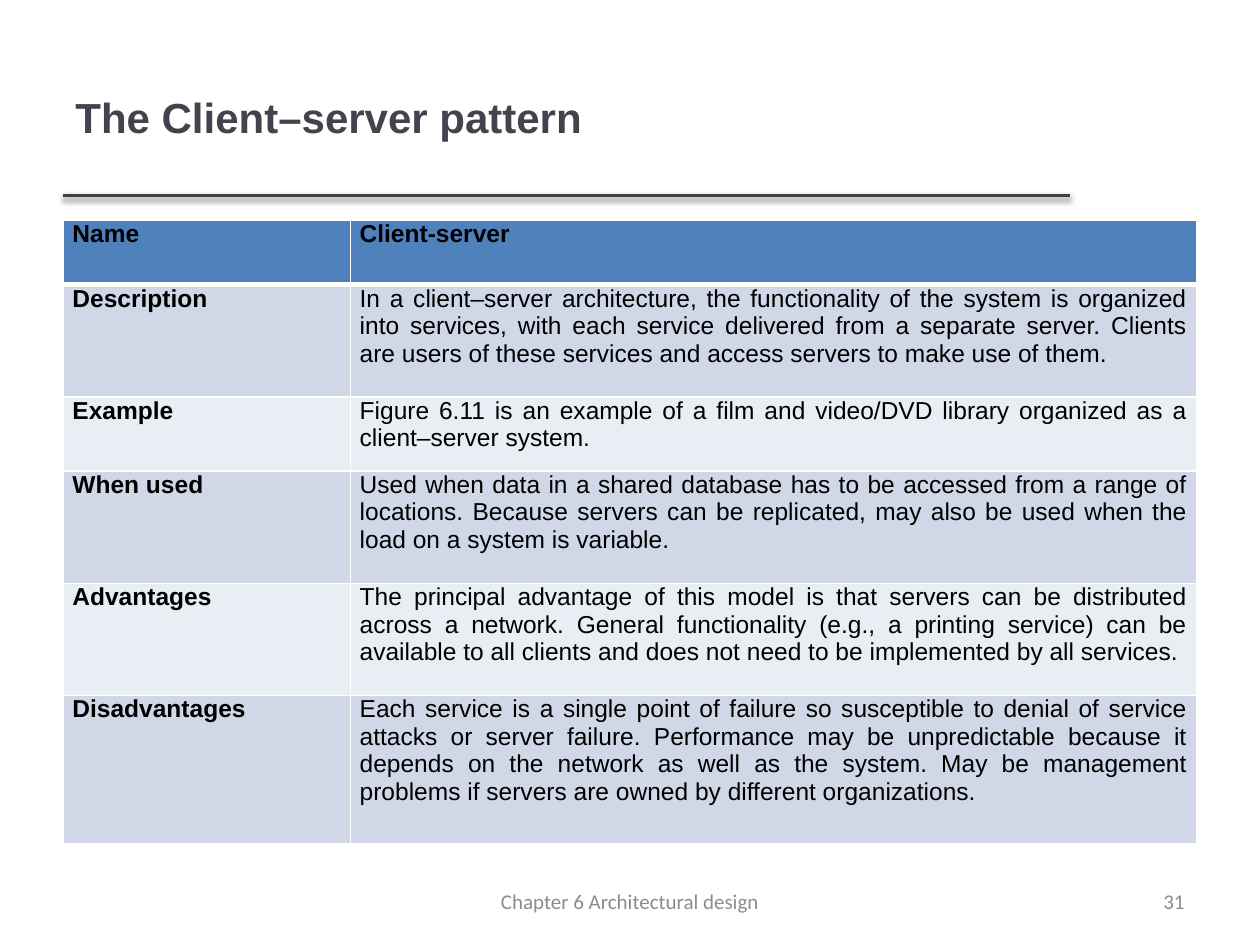
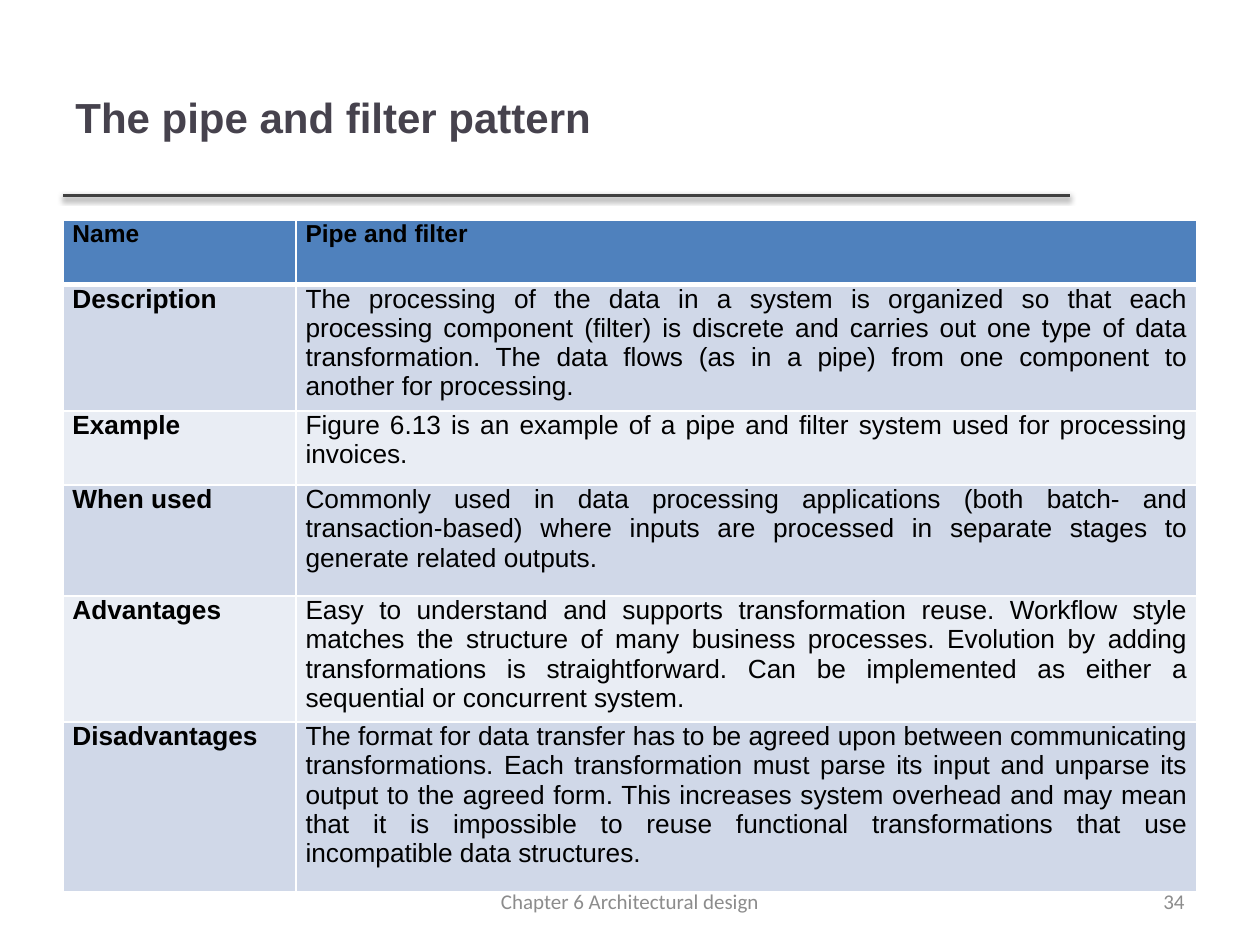
import pptx
import pptx.dml.color
import pptx.enum.shapes
import pptx.enum.text
import pptx.oxml
import pptx.oxml.ns
import pptx.util
from dataclasses import dataclass

ROW_NAMES = ["Name", "Description", "Example", "When used", "Advantages", "Disadvantages"]
FOOTER = "Chapter 6 Architectural design"

PATTERNS = [
    {
        "title": "The Client–server pattern",
        "number": "31",
        "body_size": 14,
        "columns": [2.28, 6.72],
        "rows": [0.51, 0.89, 0.59, 0.89, 0.89, 1.18],
        "entries": [
            "Client-server",
            "In a client–server architecture, the functionality of the system is organized into "
            "services, with each service delivered from a separate server. Clients are users of "
            "these services and access servers to make use of them.",
            "Figure 6.11 is an example of a film and video/DVD library organized as a "
            "client–server system.",
            "Used when data in a shared database has to be accessed from a range of locations. "
            "Because servers can be replicated, may also be used when the load on a system is "
            "variable.",
            "The principal advantage of this model is that servers can be distributed across a "
            "network. General functionality (e.g., a printing service) can be available to all "
            "clients and does not need to be implemented by all services.",
            "Each service is a single point of failure so susceptible to denial of service "
            "attacks or server failure. Performance may be unpredictable because it depends on "
            "the network as well as the system. May be management problems if servers are owned "
            "by different organizations.",
        ],
    },
    {
        "title": "The pipe and filter pattern",
        "number": "34",
        "body_size": 15,
        "columns": [1.85, 7.15],
        "rows": [0.51, 0.92, 0.59, 0.88, 0.92, 1.35],
        "entries": [
            "Pipe and filter",
            "The processing of the data in a system is organized so that each processing "
            "component (filter) is discrete and carries out one type of data transformation. "
            "The data flows (as in a pipe) from one component to another for processing.",
            "Figure 6.13 is an example of a pipe and filter system used for processing invoices.",
            "Commonly used in data processing applications (both batch- and transaction-based) "
            "where inputs are processed in separate stages to generate related outputs.",
            "Easy to understand and supports transformation reuse. Workflow style matches the "
            "structure of many business processes. Evolution by adding transformations is "
            "straightforward. Can be implemented as either a sequential or concurrent system.",
            "The format for data transfer has to be agreed upon between communicating "
            "transformations. Each transformation must parse its input and unparse its output "
            "to the agreed form. This increases system overhead and may mean that it is "
            "impossible to reuse functional transformations that use incompatible data "
            "structures.",
        ],
    },
]


@dataclass(frozen=True)
class Theme:
    title: str = "46424D"
    rule: str = "404040"
    text: str = "000000"
    footer: str = "8C8C8C"
    header_fill: str = "4F81BD"
    band_fills: tuple = ("D0D8E8", "E9EDF4")
    border: str = "FFFFFF"
    heading_font: str = "Arial"
    footer_font: str = "Calibri"
    title_size: int = 24
    header_size: int = 14
    footer_size: int = 12
    border_width: int = 1
    header_border_width: int = 3


THEME = Theme()
ALIGN = pptx.enum.text.PP_ALIGN
INCH = pptx.util.Inches
WIDTH, HEIGHT = 10, 7.5
MARGIN = WIDTH / 20
CONTENT_WIDTH = WIDTH - 2 * MARGIN
TITLE_TOP, RULE_TOP, TABLE_TOP = 0.3, 1.55, 1.75
TITLE_WIDTH = 7.99
FOOTER_TOP, FOOTER_HEIGHT = 6.95, 0.4
FOOTER_WIDTH, NUMBER_WIDTH = 3.17, 2.33
CELL_INSET = pptx.util.Pt(5.4)


def rgb(value):
    return pptx.dml.color.RGBColor.from_string(value)


def write(frame, text, size, color=THEME.text, font=THEME.heading_font, bold=False,
          align=ALIGN.LEFT):
    para = frame.paragraphs[0]
    para.alignment = align
    span = para.add_run()
    span.text = text
    span.font.size = pptx.util.Pt(size)
    span.font.name = font
    span.font.bold = bold
    span.font.color.rgb = rgb(color)
    para._p.append(pptx.oxml.parse_xml(
        f'<a:endParaRPr {pptx.oxml.ns.nsdecls("a")} sz="{size * 100}">'
        f'<a:latin typeface="{font}"/></a:endParaRPr>'))


def add_text(page, left, top, width, height, text, **text_format):
    box = page.shapes.add_textbox(INCH(left), INCH(top), INCH(width), INCH(height))
    box.text_frame.word_wrap = True
    box.text_frame.vertical_anchor = pptx.enum.text.MSO_ANCHOR.MIDDLE
    write(box.text_frame, text, **text_format)


def add_rule(page):
    rule = page.shapes.add_connector(
        pptx.enum.shapes.MSO_CONNECTOR.STRAIGHT,
        INCH(MARGIN), INCH(RULE_TOP), INCH(MARGIN + TITLE_WIDTH), INCH(RULE_TOP))
    rule.line.color.rgb = rgb(THEME.rule)
    rule.line.width = pptx.util.Pt(2)
    rule._element.spPr.append(pptx.oxml.parse_xml(
        f'<a:effectLst {pptx.oxml.ns.nsdecls("a")}>'
        f'<a:outerShdw blurRad="{pptx.util.Pt(3.1)}" dist="{pptx.util.Pt(1.6)}" dir="5400000" '
        'rotWithShape="0"><a:srgbClr val="000000"><a:alpha val="38000"/></a:srgbClr>'
        '</a:outerShdw></a:effectLst>'))


def set_borders(cell, row):
    widths = dict.fromkeys(["lnL", "lnR", "lnT", "lnB"], THEME.border_width)
    if row == 0:
        widths["lnB"] = THEME.header_border_width
    elif row == 1:
        widths["lnT"] = THEME.header_border_width
    properties = cell._tc.get_or_add_tcPr()
    for side, width in widths.items():
        properties.append(pptx.oxml.parse_xml(
            f'<a:{side} {pptx.oxml.ns.nsdecls("a")} w="{pptx.util.Pt(width)}">'
            f'<a:solidFill><a:srgbClr val="{THEME.border}"/></a:solidFill></a:{side}>'))


def add_pattern_table(page, pattern):
    rows, columns = pattern["rows"], pattern["columns"]
    table = page.shapes.add_table(
        len(rows), len(columns), INCH(MARGIN), INCH(TABLE_TOP),
        INCH(CONTENT_WIDTH), INCH(sum(rows))).table
    for column, width in zip(table.columns, columns):
        column.width = INCH(width)
    for row, texts in enumerate(zip(ROW_NAMES, pattern["entries"])):
        table.rows[row].height = INCH(rows[row])
        is_header = row == 0
        fill = THEME.header_fill if is_header else THEME.band_fills[(row - 1) % 2]
        for column, text in enumerate(texts):
            cell = table.cell(row, column)
            cell.margin_left = cell.margin_right = CELL_INSET
            cell.margin_top = cell.margin_bottom = 0
            set_borders(cell, row)
            cell.fill.solid()
            cell.fill.fore_color.rgb = rgb(fill)
            write(cell.text_frame, text,
                  size=THEME.header_size if is_header else pattern["body_size"],
                  bold=is_header or column == 0, align=ALIGN.JUSTIFY)


def add_footer(page, number):
    footer_format = dict(size=THEME.footer_size, color=THEME.footer, font=THEME.footer_font)
    add_text(page, WIDTH - MARGIN - NUMBER_WIDTH, FOOTER_TOP, NUMBER_WIDTH, FOOTER_HEIGHT,
             number, align=ALIGN.RIGHT, **footer_format)
    add_text(page, (WIDTH - FOOTER_WIDTH) / 2, FOOTER_TOP, FOOTER_WIDTH, FOOTER_HEIGHT,
             FOOTER, align=ALIGN.CENTER, **footer_format)


def main():
    deck = pptx.Presentation()
    deck.slide_width, deck.slide_height = INCH(WIDTH), INCH(HEIGHT)
    for pattern in PATTERNS:
        page = deck.slides.add_slide(deck.slide_layouts[6])
        add_rule(page)
        add_text(page, MARGIN, TITLE_TOP, TITLE_WIDTH, RULE_TOP - TITLE_TOP, pattern["title"],
                 size=THEME.title_size, color=THEME.title, bold=True)
        add_pattern_table(page, pattern)
        add_footer(page, pattern["number"])
    deck.save("out.pptx")


if __name__ == "__main__":
    main()
